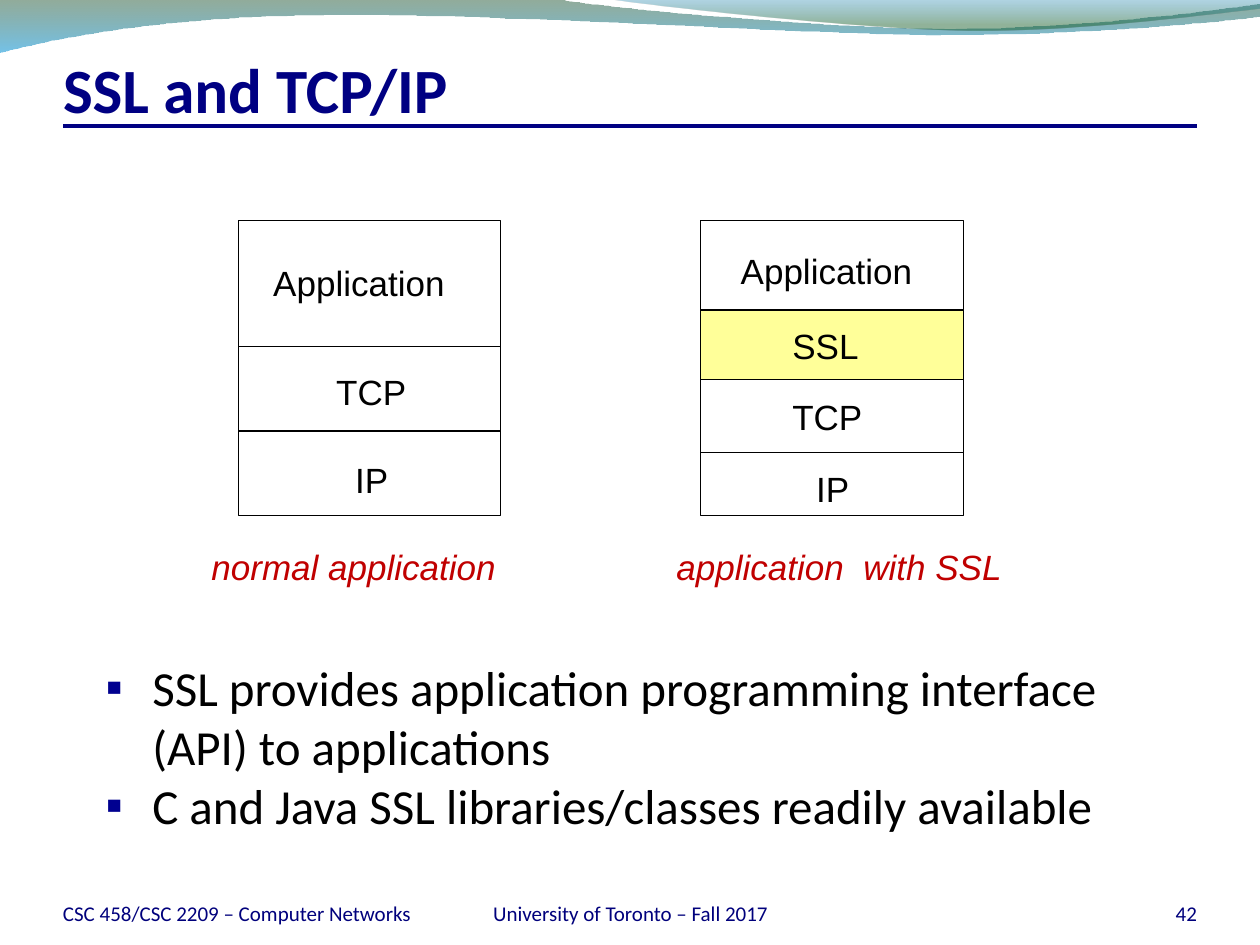
from lxml.etree import SubElement
from pptx import Presentation
from pptx.dml.color import RGBColor
from pptx.enum.shapes import MSO_CONNECTOR, MSO_SHAPE
from pptx.enum.text import MSO_ANCHOR as Anchor, MSO_AUTO_SIZE as AutoSize, PP_ALIGN as Align
from pptx.oxml.ns import qn
from pptx.util import Inches, Pt

NAVY = RGBColor(0x00, 0x00, 0x82)
FOOTER_BLUE = RGBColor(0x00, 0x00, 0x7C)
BLACK = RGBColor(0x00, 0x00, 0x00)
RED = RGBColor(0xC0, 0x00, 0x00)
YELLOW = RGBColor(0xFF, 0xFF, 0x99)
DARK_GREEN = RGBColor(0x0F, 0x46, 0x1E)
SKY_BLUE = RGBColor(0x00, 0x90, 0xD6)
DEEP_BLUE = RGBColor(0x00, 0x76, 0xAF)
GREEN = RGBColor(0x0D, 0x58, 0x21)

# Content
TITLE = "SSL and TCP/IP"
BULLETS = [
    "SSL provides application programming interface (API) to applications",
    "C and Java SSL libraries/classes readily available",
]
FOOTERS = [  # text, left, width, alignment
    ("CSC 458/CSC 2209 – Computer Networks", 0.5, 2.83, Align.LEFT),
    ("University of Toronto – Fall 2017", 3.42, 3.17, Align.CENTER),
    ("42", 8.67, 0.83, Align.RIGHT),
]
STACK_TOP, LABEL_HEIGHT, CAPTION_TOP = 1.75, 0.44, 4.28
STACKS = [  # layers: name, height, fill, then label left, top and width
    {"left": 1.89, "width": 2.08, "caption": ("normal application", 1.58, 2.54),
     "layers": [("Application", 1.0, None, 2.07, 2.03, 1.58),
                ("TCP", 0.67, None, 2.57, 2.89, 0.76),
                ("IP", 0.67, None, 2.72, 3.59, 0.47)]},
    {"left": 5.56, "width": 2.09, "caption": ("application  with SSL", 5.27, 2.88),
     "layers": [("Application", 0.71, None, 5.78, 1.93, 1.58),
                ("SSL", 0.55, YELLOW, 6.19, 2.53, 0.74),
                ("TCP", 0.58, None, 6.19, 3.09, 0.77),
                ("IP", 0.5, None, 6.38, 3.66, 0.47)]},
]
# Waves: a pair is a straight step, six numbers are a Bezier curve
WAVES = [
    ([(0, -0.01), (4.4, -0.01), (4.76, 0.06, 6.64, 0.23, 7.58, 0.23),
      (8.53, 0.23, 9.58, 0.09, 10, 0.03), (10.01, 0.13),
      (9.83, 0.16, 8.7, 0.28, 7.46, 0.28), (6.22, 0.27, 3.82, 0.1, 2.57, 0.12),
      (1.29, 0.13, 0.46, 0.3, -0.01, 0.42)],
     [(0, DARK_GREEN, 45), (1, SKY_BLUE, 55)]),
    ([(4.79, -0.01), (5.09, 0.04, 6.82, 0.23, 7.69, 0.24),
      (8.56, 0.25, 9.61, 0.11, 10, 0.07), (10, -0.01)],
     [(0, DEEP_BLUE, 30), (0.8, GREEN, 45)]),
]


def add_wave(slide, steps, stops):
    # Outline through the step ends, in EMU
    ends = [tuple(map(Inches, step[-2:])) for step in steps]
    builder = slide.shapes.build_freeform(*ends[0])
    builder.add_line_segments(ends[1:], close=True)
    wave = builder.convert_to_shape()

    # Turn the curved steps into Bezier segments
    lines = list(wave._element.spPr.iter(qn("a:lnTo")))
    for line, step in zip(lines, steps[1:]):
        if len(step) == 6:
            line.tag = qn("a:cubicBezTo")
            line.clear()
            for x, y in zip(step[::2], step[1::2]):
                SubElement(line, qn("a:pt"), x=str(Inches(x) - wave.left),
                           y=str(Inches(y) - wave.top))

    wave.shadow.inherit = False
    wave.line.fill.background()
    wave.fill.gradient()
    wave.fill.gradient_angle = 270
    for stop, (position, color, _) in zip(wave.fill.gradient_stops, stops):
        stop.position = position
        stop.color.rgb = color
    colors = wave._element.spPr.iter(qn("a:srgbClr"))
    for element, (_, _, opacity) in zip(colors, stops):
        SubElement(element, qn("a:alpha"), val=str(opacity * 1000))


def style(font, name, size, color, bold=False, italic=False):
    font.name, font.size, font.bold, font.italic = name, Pt(size), bold, italic
    font.color.rgb = color


def add_label(shapes, text, left, top, width, color=BLACK, italic=False):
    box = shapes.add_textbox(*map(Inches, (left, top, width, LABEL_HEIGHT)))
    frame = box.text_frame
    frame.word_wrap = False
    frame.auto_size = AutoSize.SHAPE_TO_FIT_TEXT
    frame.text = text
    style(frame.paragraphs[0].runs[0].font, "Arial", 20, color, italic=italic)


def add_stack(slide, stack):
    shapes = slide.shapes.add_group_shape().shapes
    top = STACK_TOP
    for name, height, fill, *label_place in stack["layers"]:
        layer = shapes.add_shape(MSO_SHAPE.RECTANGLE, *map(
            Inches, (stack["left"], top, stack["width"], height)))
        layer.shadow.inherit = False
        layer.line.color.rgb, layer.line.width = BLACK, Pt(0.75)
        if fill is None:
            layer.fill.background()
        else:
            layer.fill.solid()
            layer.fill.fore_color.rgb = fill
        add_label(shapes, name, *label_place)
        top += height
    text, left, width = stack["caption"]
    add_label(shapes, text, left, CAPTION_TOP, width, RED, italic=True)


def add_bullets(slide):
    box = slide.shapes.add_textbox(*map(Inches, (0.74, 5.17, 8.42, 1.52)))
    frame = box.text_frame
    frame.word_wrap = True
    frame.auto_size = AutoSize.SHAPE_TO_FIT_TEXT
    frame.text = "\n".join(BULLETS)
    for para in frame.paragraphs:
        props = para._p.get_or_add_pPr()
        props.set("marL", str(Inches(0.37)))
        props.set("indent", str(-Inches(0.37)))
        SubElement(SubElement(props, qn("a:buClr")), qn("a:srgbClr"), val="000090")
        SubElement(props, qn("a:buFont"), typeface="Arial")
        SubElement(props, qn("a:buChar"), char="▪")
        style(para.runs[0].font, "Calibri", 28, BLACK)


def main():
    deck = Presentation()
    deck.slide_width, deck.slide_height = Inches(10), Inches(7.5)
    slide = deck.slides.add_slide(deck.slide_layouts[5])

    # Header waves and rule
    for steps, stops in WAVES:
        add_wave(slide, steps, stops)
    rule = slide.shapes.add_connector(
        MSO_CONNECTOR.STRAIGHT, *map(Inches, (0.5, 1, 9.5, 1)))
    rule.line.color.rgb, rule.line.width = NAVY, Pt(2.25)
    SubElement(rule._element.spPr, qn("a:effectLst"))

    # Title
    title = slide.shapes.title
    title.left, title.top, title.width, title.height = map(Inches, (0.5, 0.33, 9, 0.67))
    frame = title.text_frame
    frame.text = TITLE
    frame.auto_size = AutoSize.NONE
    frame.vertical_anchor = Anchor.BOTTOM
    frame.margin_left = frame.margin_right = frame.margin_bottom = 0
    frame.margin_top = Inches(0.05)
    frame.paragraphs[0].alignment = Align.LEFT
    style(frame.paragraphs[0].runs[0].font, "Calibri", 36, NAVY, bold=True)

    # Footers
    for text, left, width, alignment in FOOTERS:
        box = slide.shapes.add_textbox(*map(Inches, (left, 6.95, width, 0.4)))
        frame = box.text_frame
        frame.word_wrap = True
        frame.vertical_anchor = Anchor.BOTTOM
        frame.margin_left = frame.margin_right = frame.margin_top = frame.margin_bottom = 0
        frame.text = text
        frame.paragraphs[0].alignment = alignment
        style(frame.paragraphs[0].runs[0].font, "Calibri", 12, FOOTER_BLUE)

    # Protocol stacks and bullets
    for stack in STACKS:
        add_stack(slide, stack)
    add_bullets(slide)
    deck.save("out.pptx")


if __name__ == "__main__":
    main()
